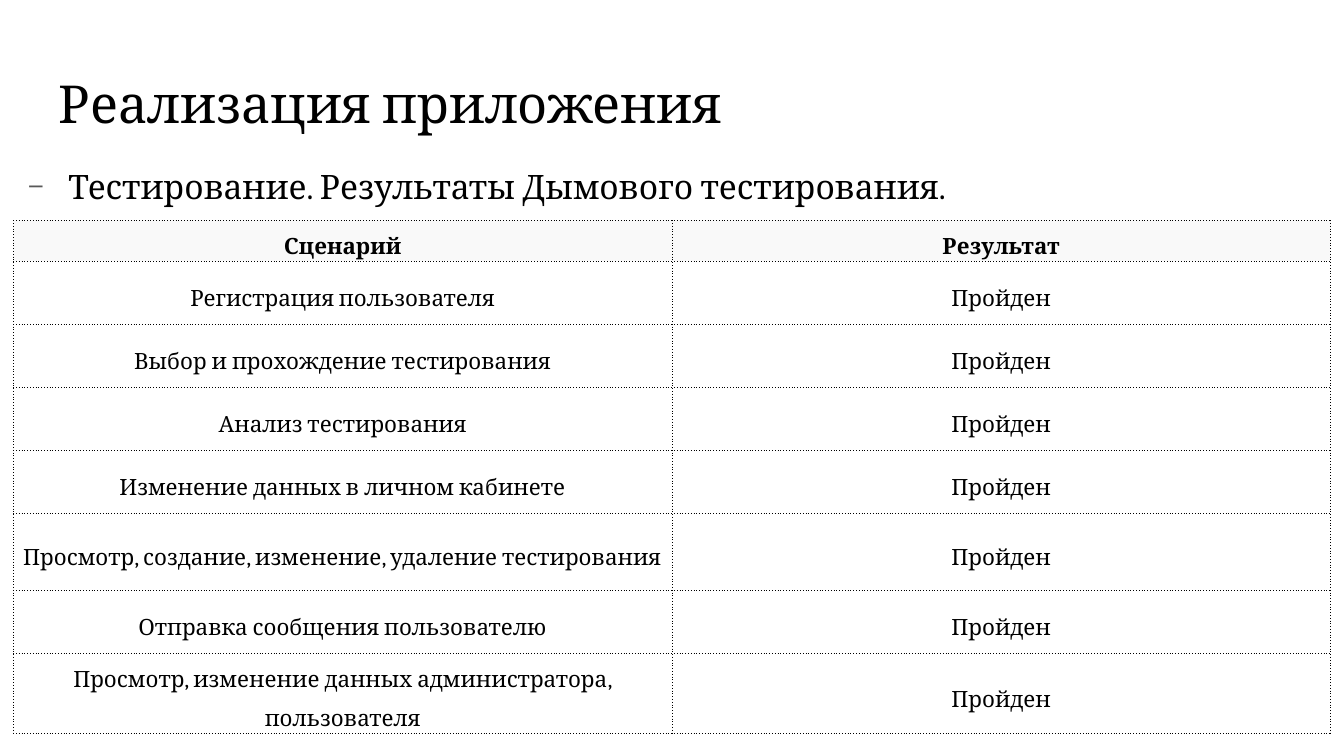
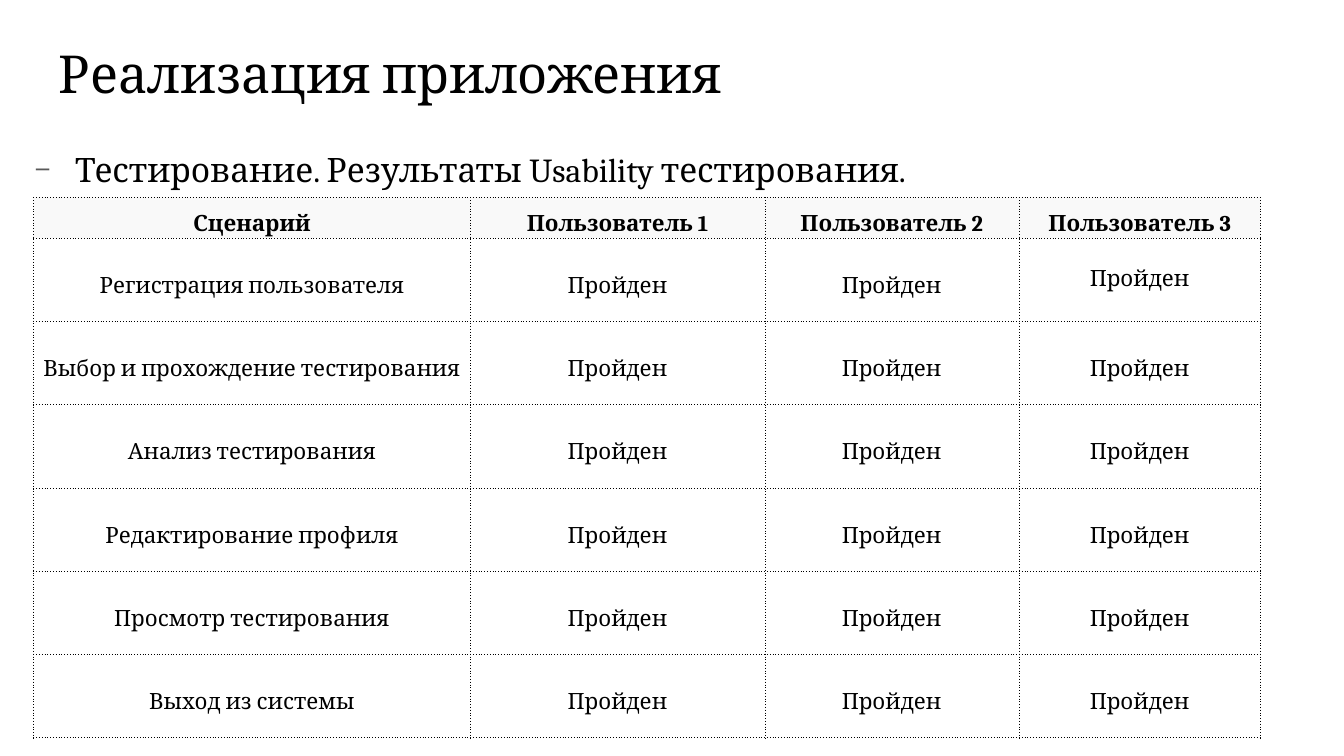
from dataclasses import dataclass

from lxml import etree
from pptx import Presentation
from pptx.dml.color import RGBColor
from pptx.enum.text import MSO_ANCHOR, PP_ALIGN
from pptx.oxml.ns import qn
from pptx.util import Inches, Pt

CENTER = PP_ALIGN.CENTER
LEFT = PP_ALIGN.LEFT
MIDDLE = MSO_ANCHOR.MIDDLE
BLANK_LAYOUT = 6


@dataclass(frozen=True)
class Theme:
    font: str = "Cambria"
    text: str = "000000"
    bullet: str = "595959"
    border: str = "000000"
    header: str = "EAEAEA"
    background: str = "FFFFFF"
    title_size: float = 28
    subtitle_size: float = 18
    cell_size: float = 12
    border_width: float = 0.25


THEME = Theme()
TITLE = "Реализация приложения"
PASSED = "Пройден"


def write_text(frame, text, *, size, bold=False, align=LEFT, line=1.0, before=0, after=0):
    paragraph = frame.paragraphs[0]
    paragraph.alignment = align
    paragraph.line_spacing = line
    paragraph.space_before = Pt(before)
    paragraph.space_after = Pt(after)
    run = paragraph.add_run()
    run.text = text
    run.font.name = THEME.font
    run.font.size = Pt(size)
    run.font.bold = bold
    run.font.color.rgb = RGBColor.from_string(THEME.text)
    return paragraph


def add_text_box(slide, box, text, **text_format):
    shape = slide.shapes.add_textbox(*map(Inches, box))
    frame = shape.text_frame
    frame.word_wrap = True
    frame.margin_left = frame.margin_right = Inches(0.1)
    frame.margin_top = frame.margin_bottom = Inches(0.1)
    return write_text(frame, text, **text_format)


def add_dash_bullet(paragraph, indent=0.31):
    properties = paragraph._p.get_or_add_pPr()
    properties.set("marL", str(Inches(indent)))
    properties.set("indent", str(-Inches(indent)))
    color = etree.SubElement(properties, qn("a:buClr"))
    etree.SubElement(color, qn("a:srgbClr"), val=THEME.bullet)
    etree.SubElement(properties, qn("a:buFont"), typeface=THEME.font)
    etree.SubElement(properties, qn("a:buChar"), char="−")


def add_heading(slide, title_box, subtitle_box, subtitle):
    add_text_box(slide, title_box, TITLE, size=THEME.title_size)
    paragraph = add_text_box(slide, subtitle_box, subtitle,
                             size=THEME.subtitle_size, line=1.15, after=16)
    add_dash_bullet(paragraph)


def set_dotted_borders(cell):
    """Must precede the fill, since the schema puts borders first."""
    properties = cell._tc.get_or_add_tcPr()
    for side in ("lnL", "lnR", "lnT", "lnB"):
        border = etree.SubElement(properties, qn(f"a:{side}"), w=str(Pt(THEME.border_width)))
        fill = etree.SubElement(border, qn("a:solidFill"))
        etree.SubElement(fill, qn("a:srgbClr"), val=THEME.border)
        etree.SubElement(border, qn("a:prstDash"), val="dot")


def fill_header(cell, opacity):
    cell.fill.solid()
    cell.fill.fore_color.rgb = RGBColor.from_string(THEME.header)
    color = cell._tc.tcPr.find(f"{qn('a:solidFill')}/{qn('a:srgbClr')}")
    etree.SubElement(color, qn("a:alpha"), val=str(opacity * 1000))


def add_results_table(slide, box, header, scenarios, widths, heights, *,
                      margin, opacity, exceptions):
    """Every scenario passes; exceptions maps (row, column) to a text format."""
    rows = [header] + [[name] + [PASSED] * (len(header) - 1) for name in scenarios]
    table = slide.shapes.add_table(len(rows), len(header), *map(Inches, box)).table
    table.first_row = table.horz_banding = False
    for column, width in zip(table.columns, widths):
        column.width = Inches(width)
    for row, height in zip(table.rows, heights):
        row.height = Inches(height)
    for row_index, row in enumerate(rows):
        for column_index, text in enumerate(row):
            cell = table.cell(row_index, column_index)
            cell.vertical_anchor = MIDDLE
            cell.margin_left = cell.margin_right = Inches(margin)
            cell.margin_top = cell.margin_bottom = 0
            set_dotted_borders(cell)
            if row_index == 0:
                fill_header(cell, opacity)
            else:
                cell.fill.background()
            text_format = {"size": THEME.cell_size, "bold": row_index == 0,
                           "align": CENTER, "line": 1.5}
            text_format.update(exceptions.get((row_index, column_index), {}))
            write_text(cell.text_frame, text, **text_format)


def add_blank_slide(presentation):
    slide = presentation.slides.add_slide(presentation.slide_layouts[BLANK_LAYOUT])
    slide.background.fill.solid()
    slide.background.fill.fore_color.rgb = RGBColor.from_string(THEME.background)
    return slide


def build_smoke_slide(presentation):
    slide = add_blank_slide(presentation)
    add_heading(slide, (0.34, 0.43, 9.32, 0.63), (0.1, 1.09, 9.32, 3.74),
                "Тестирование. Результаты Дымового тестирования.")
    scenarios = [
        "Регистрация пользователя",
        "Выбор и прохождение тестирования",
        "Анализ тестирования",
        "Изменение данных в личном кабинете",
        "Просмотр, создание, изменение, удаление тестирования",
        "Отправка сообщения пользователю",
        "Просмотр, изменение данных администратора, пользователя",
    ]
    add_results_table(slide, (0.1, 1.64, 9.79, 3.85), ["Сценарий", "Результат"], scenarios,
                      [4.9] * 2, [0.26] + [0.47] * 4 + [0.57, 0.47, 0.56],
                      margin=0.05, opacity=28,
                      exceptions={(row, 0): {"before": 1.4} for row in (2, 3, 4)})


def build_usability_slide(presentation):
    slide = add_blank_slide(presentation)
    add_heading(slide, (0.34, 0.21, 9.32, 0.63), (0.15, 0.96, 9.32, 3.74),
                "Тестирование. Результаты Usability тестирования.")
    header = ["Сценарий"] + [f"Пользователь {number}" for number in (1, 2, 3)]
    scenarios = [
        "Регистрация пользователя",
        "Выбор и прохождение тестирования",
        "Анализ тестирования",
        "Редактирование профиля",
        "Просмотр тестирования",
        "Выход из системы",
    ]
    add_results_table(slide, (0.25, 1.47, 9.12, 4.04), header, scenarios,
                      [3.25, 2.19, 1.89, 1.8], [0.29] + [0.62] * len(scenarios),
                      margin=0.04, opacity=27, exceptions={(1, 3): {"line": 1.0}})


def main():
    presentation = Presentation()
    presentation.slide_width = Inches(10)
    presentation.slide_height = presentation.slide_width * 9 // 16
    build_smoke_slide(presentation)
    build_usability_slide(presentation)
    presentation.save("out.pptx")


if __name__ == "__main__":
    main()
